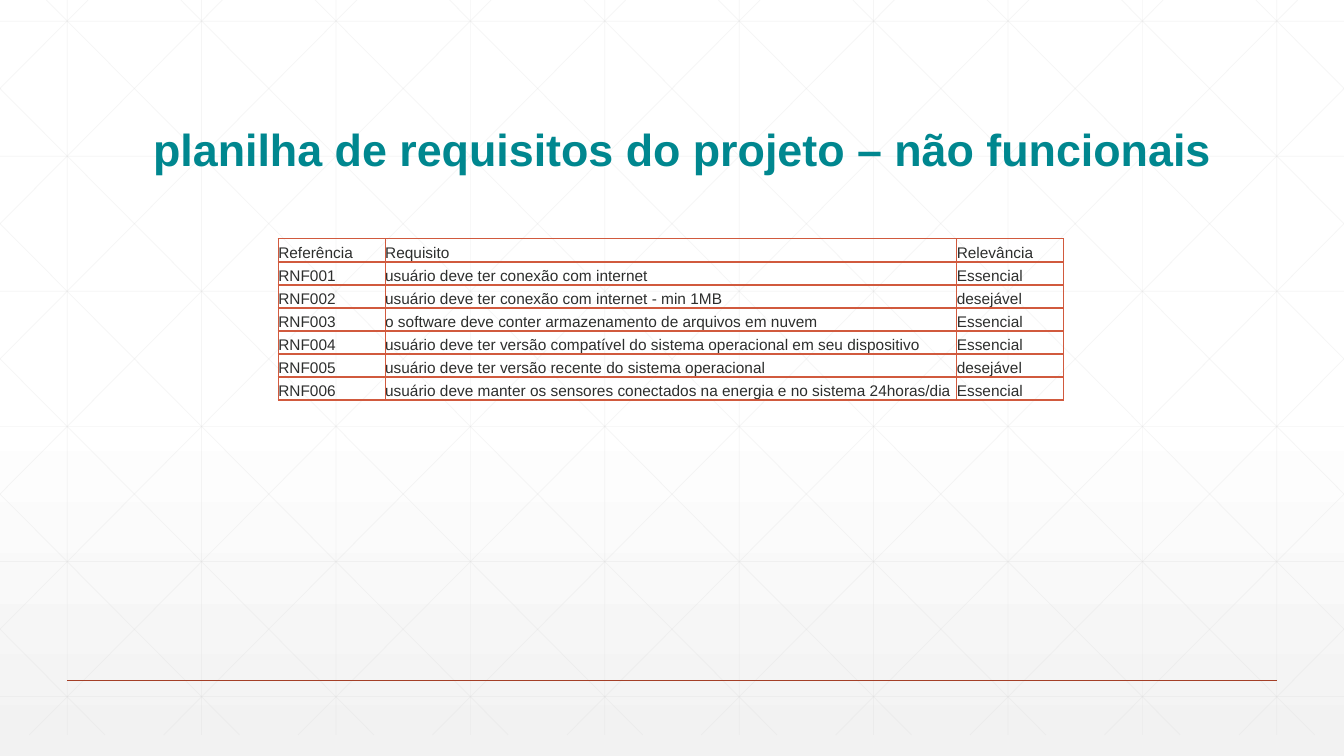
from dataclasses import dataclass

from lxml import etree
from pptx import Presentation
from pptx.dml.color import RGBColor
from pptx.enum.shapes import MSO_CONNECTOR
from pptx.enum.text import MSO_ANCHOR
from pptx.oxml.ns import qn
from pptx.util import Inches, Pt

STRAIGHT = MSO_CONNECTOR.STRAIGHT
BOTTOM = MSO_ANCHOR.BOTTOM
WIDTH, HEIGHT = 13.33, 7.5


@dataclass(frozen=True)
class Theme:
    font: str = "Arial"
    title_size: int = 32
    table_size: int = 11
    title: str = "00878F"
    text: str = "2D2E2D"
    border: str = "D15A3E"
    rule: str = "A43F27"
    lattice: str = "D9D9D9"
    background_top: str = "FFFFFF"
    background_bottom: str = "F2F2F2"


THEME = Theme()
TITLE = "planilha de requisitos do projeto – não funcionais"
REQUIREMENTS = [
    ("Referência", "Requisito", "Relevância"),
    ("RNF001", "usuário deve ter conexão com internet", "Essencial"),
    ("RNF002", "usuário deve ter conexão com internet - min 1MB", "desejável"),
    ("RNF003", "o software deve conter armazenamento de arquivos em nuvem", "Essencial"),
    ("RNF004", "usuário deve ter versão compatível do sistema operacional em seu dispositivo",
     "Essencial"),
    ("RNF005", "usuário deve ter versão recente do sistema operacional", "desejável"),
    ("RNF006", "usuário deve manter os sensores conectados na energia e no sistema 24horas/dia",
     "Essencial"),
]


def style_font(font, size, color, bold=False):
    font.name, font.size, font.bold = THEME.font, Pt(size), bold
    font.color.rgb = RGBColor.from_string(color)


def add_line(slide, start, end, color, width, opacity=100):
    line = slide.shapes.add_connector(
        STRAIGHT, *(Inches(value) for value in (*start, *end)))
    line.line.color.rgb = RGBColor.from_string(color)
    line.line.width = Pt(width)
    properties = line._element.spPr
    if opacity < 100:
        color_node = properties.find(".//" + qn("a:srgbClr"))
        etree.SubElement(color_node, qn("a:alpha"), val=str(opacity * 1000))
    etree.SubElement(properties, qn("a:effectLst"))


def paint_background(slide):
    fill = slide.background.fill
    fill.gradient()
    fill.gradient_angle = 270
    stops = ((0.53, THEME.background_top), (1, THEME.background_bottom))
    for stop, (position, color) in zip(fill.gradient_stops, stops):
        stop.position = position
        stop.color.rgb = RGBColor.from_string(color)


def draw_lattice(slide, box):
    left, top, width, height = box
    right, bottom = left + width, top + height
    step = width / 10

    def draw(start, end):
        add_line(slide, start, end, THEME.lattice, 0.5, opacity=25)

    # Upright and level lines
    for column in range(10):
        x = left + (column + 0.5) * step
        draw((x, top), (x, bottom))
    for row in range(6):
        y = top + 0.21 + row * 1.34
        draw((left, y), (right, y))

    # Diagonals, cut at the box edges, each with its mirror
    run = 0.994  # sideways distance per unit of drop
    for index in range(-5, 10):
        offset = 0.46 + index * step
        drop_start = max(0, -offset / run)
        drop_end = min(height, (width - offset) / run)
        ends = [(offset + drop * run, top + drop) for drop in (drop_start, drop_end)]
        draw(*((left + x, y) for x, y in ends))
        draw(*((right - x, y) for x, y in ends))


def add_title(slide, box):
    frame = slide.shapes.add_textbox(*(Inches(value) for value in box)).text_frame
    frame.word_wrap = True
    frame.vertical_anchor = BOTTOM
    para = frame.paragraphs[0]
    para.text = TITLE
    para.line_spacing = 0.9
    style_font(para.font, THEME.title_size, THEME.title, bold=True)


def add_cell_borders(cell):
    properties = cell._tc.get_or_add_tcPr()
    for side in ("lnL", "lnR", "lnT", "lnB"):
        border = etree.SubElement(properties, qn("a:" + side), w=str(Pt(1)))
        fill = etree.SubElement(border, qn("a:solidFill"))
        etree.SubElement(fill, qn("a:srgbClr"), val=THEME.border)


def add_requirements_table(slide, box):
    width, height = box[2:]
    shape = slide.shapes.add_table(
        len(REQUIREMENTS), 3, *(Inches(value) for value in box))
    table = shape.table
    table.first_row = table.horz_banding = False
    side = 1.06
    for column, size in zip(table.columns, (side, width - 2 * side, side)):
        column.width = Inches(size)
    for row, texts in zip(table.rows, REQUIREMENTS):
        row.height = Inches(height / len(REQUIREMENTS))
        for cell, text in zip(row.cells, texts):
            cell.margin_left = cell.margin_right = 0
            cell.margin_top = cell.margin_bottom = 0
            cell.vertical_anchor = BOTTOM
            add_cell_borders(cell)
            cell.fill.background()
            para = cell.text_frame.paragraphs[0]
            para.text = text
            style_font(para.font, THEME.table_size, THEME.text)


def build_requirements_slide(deck):
    slide = deck.slides.add_slide(deck.slide_layouts[6])
    paint_background(slide)
    draw_lattice(slide, (0, 0, WIDTH, 7.29))
    # Footer rule
    margin, rule_y = WIDTH * 0.05, HEIGHT * 0.9
    add_line(slide, (margin, rule_y), (WIDTH - margin, rule_y), THEME.rule, 1)
    add_title(slide, (1.42, 0.55, 10.92, 1.25))
    add_requirements_table(slide, (2.76, 2.37, 7.79, 1.6))


def main():
    deck = Presentation()
    deck.slide_width, deck.slide_height = Inches(WIDTH), Inches(HEIGHT)
    build_requirements_slide(deck)
    deck.save("out.pptx")


if __name__ == "__main__":
    main()
